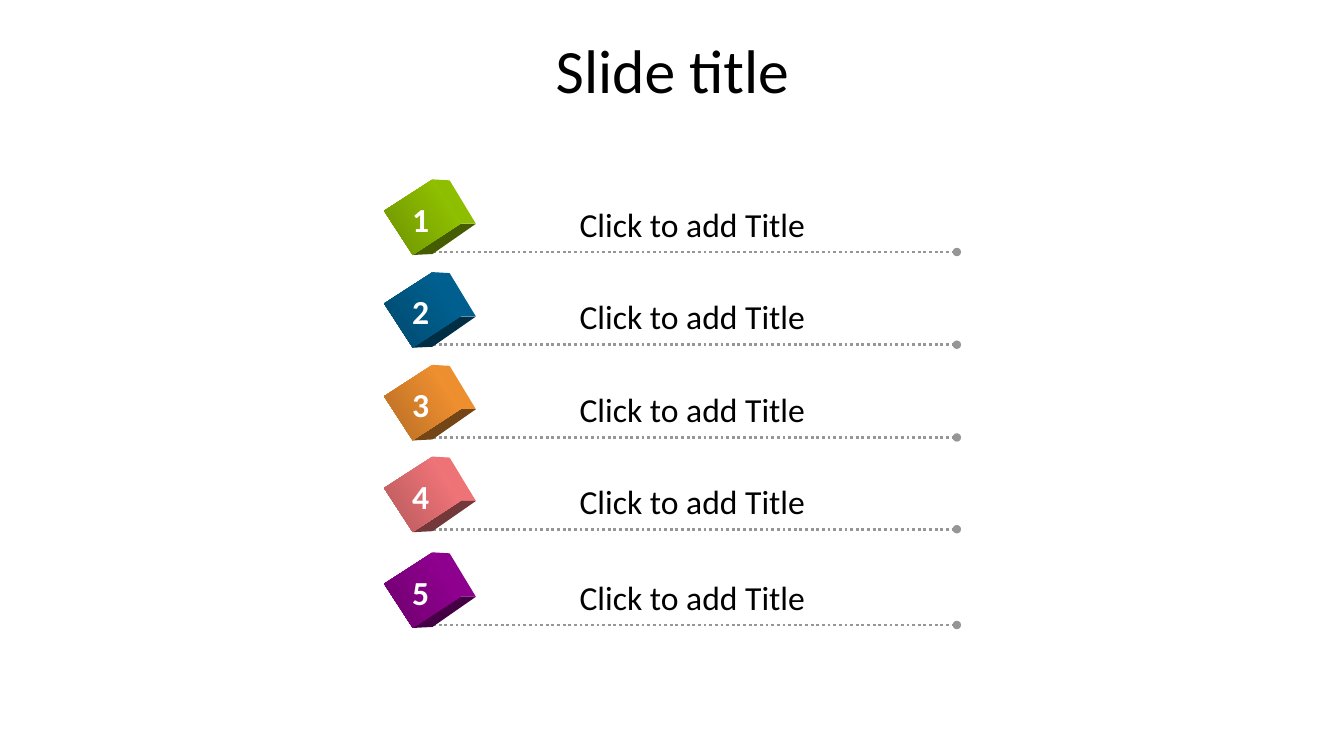
"""Build a slide with five numbered cubes, each beside a title on a dotted rule."""
from pptx import Presentation
from pptx.dml.color import RGBColor
from pptx.enum.dml import MSO_LINE
from pptx.enum.shapes import MSO_CONNECTOR as Connector, MSO_SHAPE as Preset
from pptx.enum.text import MSO_ANCHOR as Anchor, MSO_AUTO_SIZE as AutoSize, PP_ALIGN as Align
from pptx.oxml.ns import qn
from pptx.util import Inches, Pt
from lxml.etree import SubElement

COLORS = {
    "ink": "000000", "number": "FFFFFF", "rule": "969696",
    "green": "99CC00", "green_dark": "6D9200",
    "blue": "006699", "blue_dark": "00496D",
    "orange": "FF9933", "orange_dark": "B66D24",
    "pink": "FF7C80", "pink_dark": "B6595C",
    "purple": "990099", "purple_dark": "6D006D",
}
ROWS = [("green", 2.5), ("blue", 3.42), ("orange", 4.34), ("pink", 5.25), ("purple", 6.2)]
RIGHT_FACE = [(4.29, -0.72), (4.46, -0.71), (4.72, -0.28), (4.56, -0.28)]
BOTTOM_FACE = [(4.56, -0.28), (4.72, -0.28), (4.29, 0.02), (4.09, 0.03)]


class SlideBuilder:
    def __init__(self, slide, font_name):
        self.slide = slide
        self.font_name = font_name
        self.shapes = slide.shapes

    def color(self, name, shade=1):
        return RGBColor(*(round(part * shade) for part in bytes.fromhex(COLORS[name])))

    def text(self, wording, left, top, width, height, color="ink", frame=None, paragraph=None, **font):
        box = self.shapes.add_textbox(Inches(left), Inches(top), Inches(width), Inches(height))
        frame_format = frame or {"word_wrap": False, "auto_size": AutoSize.SHAPE_TO_FIT_TEXT}
        first = box.text_frame.paragraphs[0]
        run = first.add_run()
        run.text = wording
        font_format = {"name": self.font_name, "size": Pt(24), **font}
        for target, values in ((box.text_frame, frame_format), (first, paragraph or {}), (run.font, font_format)):
            for name, value in values.items():
                setattr(target, name, value)
        run.font.color.rgb = self.color(color)

    def rule(self, left, right, y):
        line = self.shapes.add_connector(
            Connector.STRAIGHT, Inches(left), Inches(y), Inches(right), Inches(y))
        line.line.color.rgb = self.color("rule")
        for name, value in {"width": Pt(2), "dash_style": MSO_LINE.ROUND_DOT}.items():
            setattr(line.line, name, value)
        properties = line._element.spPr
        SubElement(properties.find(qn("a:ln")), qn("a:tailEnd"), type="oval")
        SubElement(properties, qn("a:effectLst"))

    def face(self, points, y, color, shade):
        corners = [(Inches(x), Inches(y + offset)) for x, offset in points]
        builder = self.shapes.build_freeform(*corners[0])
        builder.add_line_segments(corners[1:], close=True)
        shape = builder.convert_to_shape()
        shape.shadow.inherit = False
        shape.fill.solid()
        shape.fill.fore_color.rgb = self.color(color, shade)
        shape.line.fill.background()

    def cube(self, color, y):
        self.face(RIGHT_FACE, y, color, 0.93)
        self.face(BOTTOM_FACE, y, color, 0.45)
        front = self.shapes.add_shape(
            Preset.RECTANGLE, Inches(3.93), Inches(y - 0.63), Inches(0.52), Inches(0.57))
        front.rotation = 57
        front.shadow.inherit = False
        front.line.fill.background()
        front.fill.gradient()
        front.fill.gradient_angle = 270
        for stop, name in zip(front.fill.gradient_stops, (color, f"{color}_dark")):
            stop.color.rgb = self.color(name)

    def row(self, number, color, y):
        self.shapes = self.slide.shapes.add_group_shape().shapes
        self.rule(4.24, 9.49, y)
        self.cube(color, y)
        self.text("Click to add Title", 5.65, y - 0.53, 2.67, 0.5)
        self.text(str(number), 3.99, y - 0.58, 0.39, 0.5, "number", bold=True)
        self.shapes = self.slide.shapes


def main():
    presentation = Presentation()
    presentation.slide_width, presentation.slide_height = Inches(13.33), Inches(7.5)
    builder = SlideBuilder(presentation.slides.add_slide(presentation.slide_layouts[6]), "Calibri")
    builder.text(
        "Slide title", 0.92, 0, 11.5, 1.45, size=Pt(44),
        frame={"word_wrap": True, "vertical_anchor": Anchor.MIDDLE},
        paragraph={"alignment": Align.CENTER, "line_spacing": 0.9})
    for number, (color, y) in enumerate(ROWS, start=1):
        builder.row(number, color, y)
    presentation.save("out.pptx")


if __name__ == "__main__":
    main()
